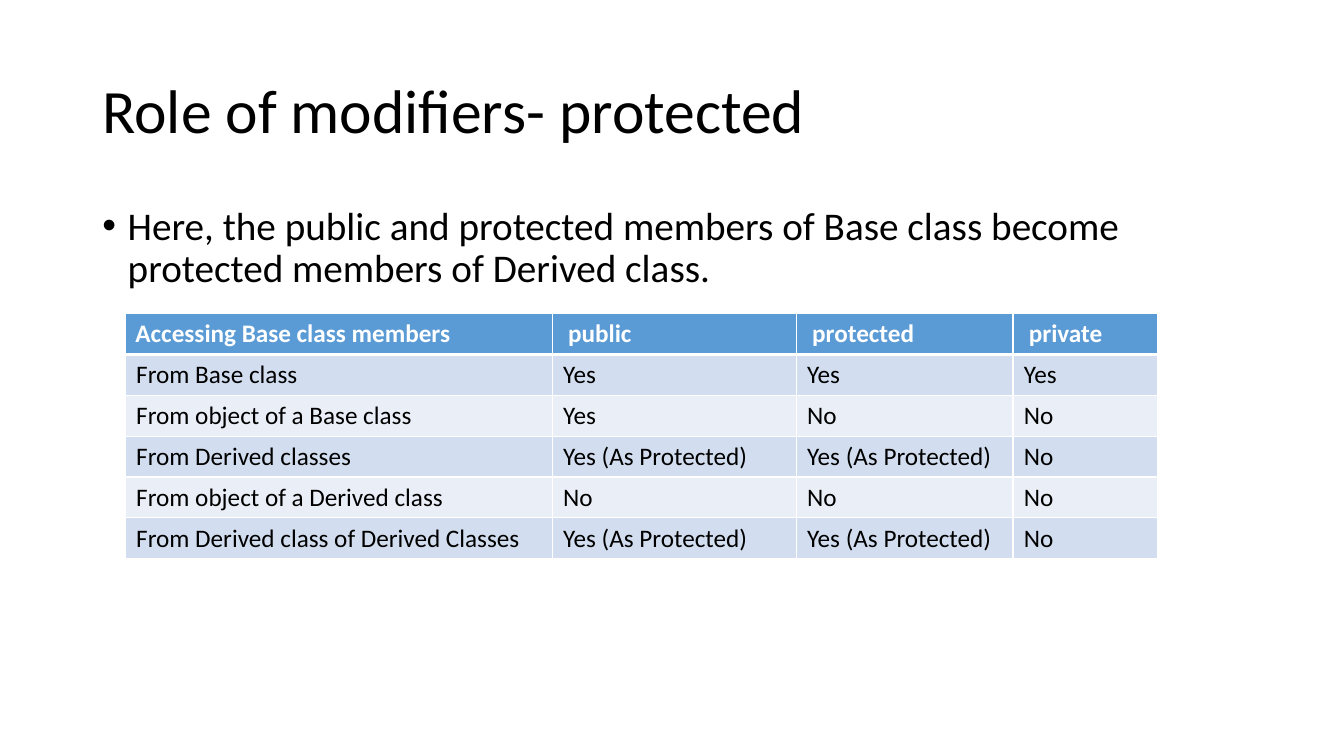
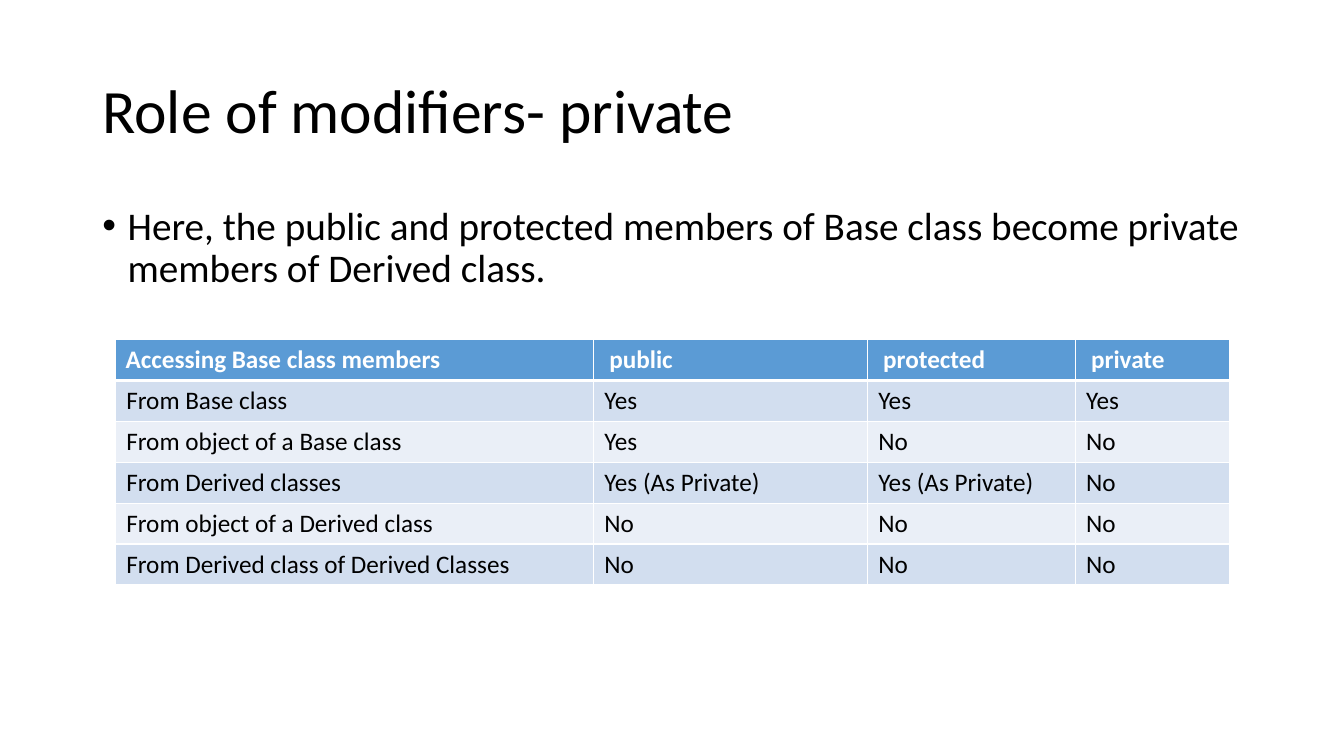
"""Build two slides on how inheritance modifiers change member access."""
from dataclasses import dataclass

from lxml import etree
from pptx import Presentation
from pptx.dml.color import RGBColor
from pptx.enum.text import MSO_ANCHOR
from pptx.oxml.ns import qn
from pptx.util import Cm, Pt

MIDDLE = MSO_ANCHOR.MIDDLE
TOP = MSO_ANCHOR.TOP
FONT = "Calibri"
NBSP = "\u00a0"
COLORS = {
    "text": "000000",
    "white": "FFFFFF",
    "header": "5B9BD5",
    "odd": "D2DEEF",
    "even": "EAEFF7",
}
LEFT, WIDTH = 2.33, 29.21
ROW_HEIGHT = 1.03
CELL_INSET = 0.13
HEADERS = ("public", "protected", "private")
MEMBERS = (
    "From Base class",
    "From object of a Base class",
    "From Derived classes",
    "From object of a Derived class",
    "From Derived class of Derived Classes",
)


@dataclass(frozen=True)
class AccessTable:
    left: float
    top: float
    widths: tuple[float, ...]
    derived: str
    further_derived: str

    def rows(self) -> list[tuple[str, ...]]:
        answers = (
            ("Yes", "Yes", "Yes"),
            ("Yes", "No", "No"),
            (self.derived, self.derived, "No"),
            ("No", "No", "No"),
            (self.further_derived, self.further_derived, "No"),
        )
        return [(member, *row) for member, row in zip(MEMBERS, answers)]


@dataclass(frozen=True)
class ModifierSlide:
    modifier: str
    table: AccessTable


SLIDES = (
    ModifierSlide("protected", AccessTable(
        3.16, 7.9, (10.76, 6.15, 5.46, 3.64),
        "Yes (As Protected)", "Yes (As Protected)")),
    ModifierSlide("private", AccessTable(
        2.91, 8.56, (12.05, 6.9, 5.24, 3.88),
        "Yes (As Private)", "No")),
)


def write(tf, text: str, *, size: float, color: str = "text", bold: bool = False,
          line: float = 1.0, before: float = 0, bullet: bool = False) -> None:
    p = tf.paragraphs[0]
    p.line_spacing = line
    p.space_before = Pt(before)
    if bullet:
        pPr = p._p.get_or_add_pPr()
        indent = Cm(0.64)
        pPr.set("marL", str(indent))
        pPr.set("indent", str(-indent))
        etree.SubElement(pPr, qn("a:buFont"), typeface="Arial")
        etree.SubElement(pPr, qn("a:buChar"), char="•")
    r = p.add_run()
    r.text = text
    r.font.name = FONT
    r.font.size = Pt(size)
    r.font.bold = bold
    r.font.color.rgb = RGBColor.from_string(COLORS[color])


def add_text(s, text: str, top: float, height: float, anchor: MSO_ANCHOR, **style) -> None:
    sp = s.shapes.add_textbox(Cm(LEFT), Cm(top), Cm(WIDTH), Cm(height))
    tf = sp.text_frame
    tf.word_wrap = True
    tf.vertical_anchor = anchor
    write(tf, text, line=0.9, **style)


def set_borders(cell, **widths: float) -> None:
    tcPr = cell._tc.get_or_add_tcPr()
    for side in "LRTB":
        ln = etree.SubElement(tcPr, qn(f"a:ln{side}"), w=str(Pt(widths.get(side, 1))))
        fill = etree.SubElement(ln, qn("a:solidFill"))
        etree.SubElement(fill, qn("a:srgbClr"), val=COLORS["white"])


def fill_cell(cell, text: str, fill: str, **style) -> None:
    cell.vertical_anchor = MIDDLE
    cell.fill.solid()
    cell.fill.fore_color.rgb = RGBColor.from_string(COLORS[fill])
    write(cell.text_frame, text, size=18, **style)


def add_access_table(s, spec: AccessTable) -> None:
    rows = spec.rows()
    table = s.shapes.add_table(
        len(rows) + 1, len(spec.widths), Cm(spec.left), Cm(spec.top),
        Cm(sum(spec.widths)), Cm(ROW_HEIGHT * (len(rows) + 1))).table
    for column, width in zip(table.columns, spec.widths):
        column.width = Cm(width)
    for row in table.rows:
        row.height = Cm(ROW_HEIGHT)

    titles = ("Accessing Base class members", *(NBSP + h for h in HEADERS))
    for col, title in enumerate(titles):
        cell = table.cell(0, col)
        set_borders(cell, B=3)
        fill_cell(cell, title, "header", color="white", bold=True)

    for row, texts in enumerate(rows, start=1):
        for col, text in enumerate(texts):
            cell = table.cell(row, col)
            cell.margin_left = cell.margin_right = Cm(CELL_INSET)
            cell.margin_top = cell.margin_bottom = Cm(CELL_INSET)
            set_borders(cell, T=3 if row == 1 else 1)
            fill_cell(cell, NBSP + text, "odd" if row % 2 else "even")


def add_modifier_slide(prs, spec: ModifierSlide) -> None:
    s = prs.slides.add_slide(prs.slide_layouts[6])
    add_text(s, f"Role of modifiers- {spec.modifier}", 1.01, 3.68, MIDDLE, size=44)
    add_text(s, "Here, the public and protected members of Base class become "
             f"{spec.modifier} members of Derived class.",
             5.07, 12.09, TOP, size=28, before=10, bullet=True)
    add_access_table(s, spec.table)


def main() -> None:
    prs = Presentation()
    prs.slide_width, prs.slide_height = Cm(33.87), Cm(19.05)
    for spec in SLIDES:
        add_modifier_slide(prs, spec)
    prs.save("out.pptx")


main()
